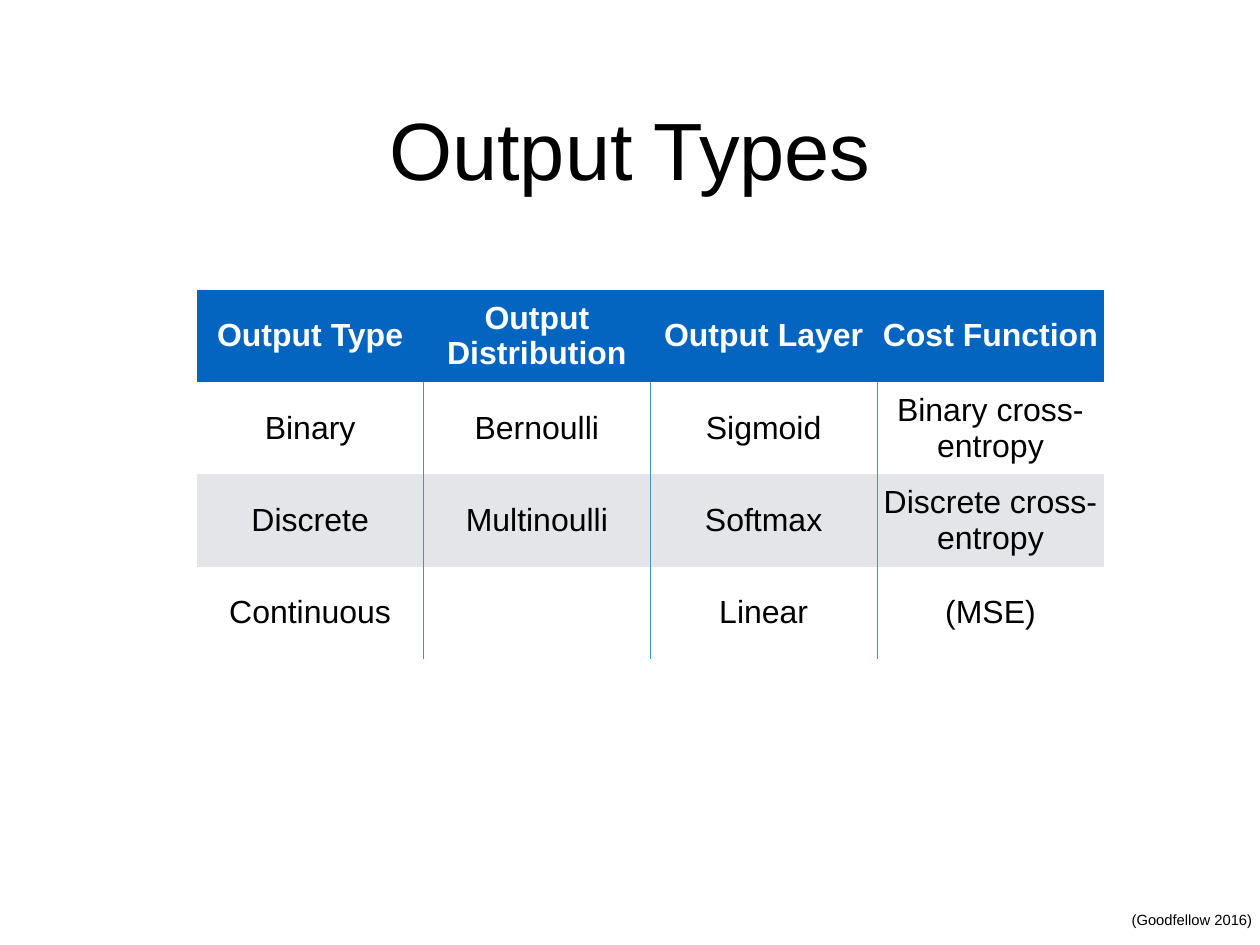
from lxml import etree
from pptx import Presentation
from pptx.dml.color import RGBColor
from pptx.enum.text import MSO_ANCHOR, PP_ALIGN
from pptx.oxml.ns import qn
from pptx.util import Pt

MIDDLE = MSO_ANCHOR.MIDDLE
CENTER = PP_ALIGN.CENTER

BLACK, WHITE, BLUE, GREY, RULE = "000000", "FFFFFF", "0365C0", "E3E5E8", "3797C6"
ROWS = [
    ["Output Type", "Output Distribution", "Output Layer", "Cost Function"],
    ["Binary", "Bernoulli", "Sigmoid", "Binary cross-entropy"],
    ["Discrete", "Multinoulli", "Softmax", "Discrete cross-entropy"],
    ["Continuous", "", "Linear", "(MSE)"],
]


def rgb(color):
    return RGBColor.from_string(color)


class Deck:
    """Holds the style and the current slide, and adds elements to it."""

    font = "Arial"
    inset = Pt(4)

    def __init__(self, prs):
        self.s = prs.slides.add_slide(prs.slide_layouts[6])

    def style(self, box, p, size, color, bold=False):
        box.margin_left = box.margin_right = self.inset
        box.margin_top = box.margin_bottom = self.inset
        box.vertical_anchor = MIDDLE
        p.alignment = CENTER
        p.font.name, p.font.size, p.font.bold = self.font, Pt(size), bold
        p.font.color.rgb = rgb(color)

    def text(self, x, y, w, h, text, size, wrap=True):
        tf = self.s.shapes.add_textbox(Pt(x), Pt(y), Pt(w), Pt(h)).text_frame
        tf.word_wrap = wrap
        tf.text = text
        self.style(tf, tf.paragraphs[0], size, BLACK)

    def borders(self, cell, ruled_sides):
        tcPr = cell._tc.get_or_add_tcPr()
        for i, side in enumerate("LRTB"):
            ln = etree.Element(qn(f"a:ln{side}"), w=str(Pt(1)))
            if side in ruled_sides:
                fill = etree.SubElement(ln, qn("a:solidFill"))
                etree.SubElement(fill, qn("a:srgbClr"), val=RULE)
            else:
                etree.SubElement(ln, qn("a:noFill"))
            tcPr.insert(i, ln)

    def table(self, x, y, col_w, row_h, rows, size):
        n_rows, n_cols = len(rows), len(rows[0])
        table = self.s.shapes.add_table(
            n_rows, n_cols, Pt(x), Pt(y), Pt(col_w * n_cols), Pt(row_h * n_rows)
        ).table
        table.horz_banding = False
        for col in table.columns:
            col.width = Pt(col_w)
        for i, row in enumerate(rows):
            table.rows[i].height = Pt(row_h)
            header = i == 0
            fill = BLUE if header else WHITE if i % 2 else GREY
            for j, text in enumerate(row):
                cell = table.cell(i, j)
                cell.text = text
                cell.fill.solid()
                cell.fill.fore_color.rgb = rgb(fill)
                self.style(cell, cell.text_frame.paragraphs[0], size,
                           WHITE if header else BLACK, header)
                sides = ("L" if j > 0 else "") + ("R" if j < n_cols - 1 else "")
                self.borders(cell, "" if header else sides)


def main():
    prs = Presentation()
    prs.slide_width, prs.slide_height = Pt(1024), Pt(768)
    deck = Deck(prs)
    deck.text(75, 35, 874, 170, "Output Types", 66)
    deck.table(160, 235.5, 184.3, 75, ROWS, 26)
    deck.text(915, 736, 107.5, 22, "(Goodfellow 2016)", 12, wrap=False)
    prs.save("out.pptx")


if __name__ == "__main__":
    main()
